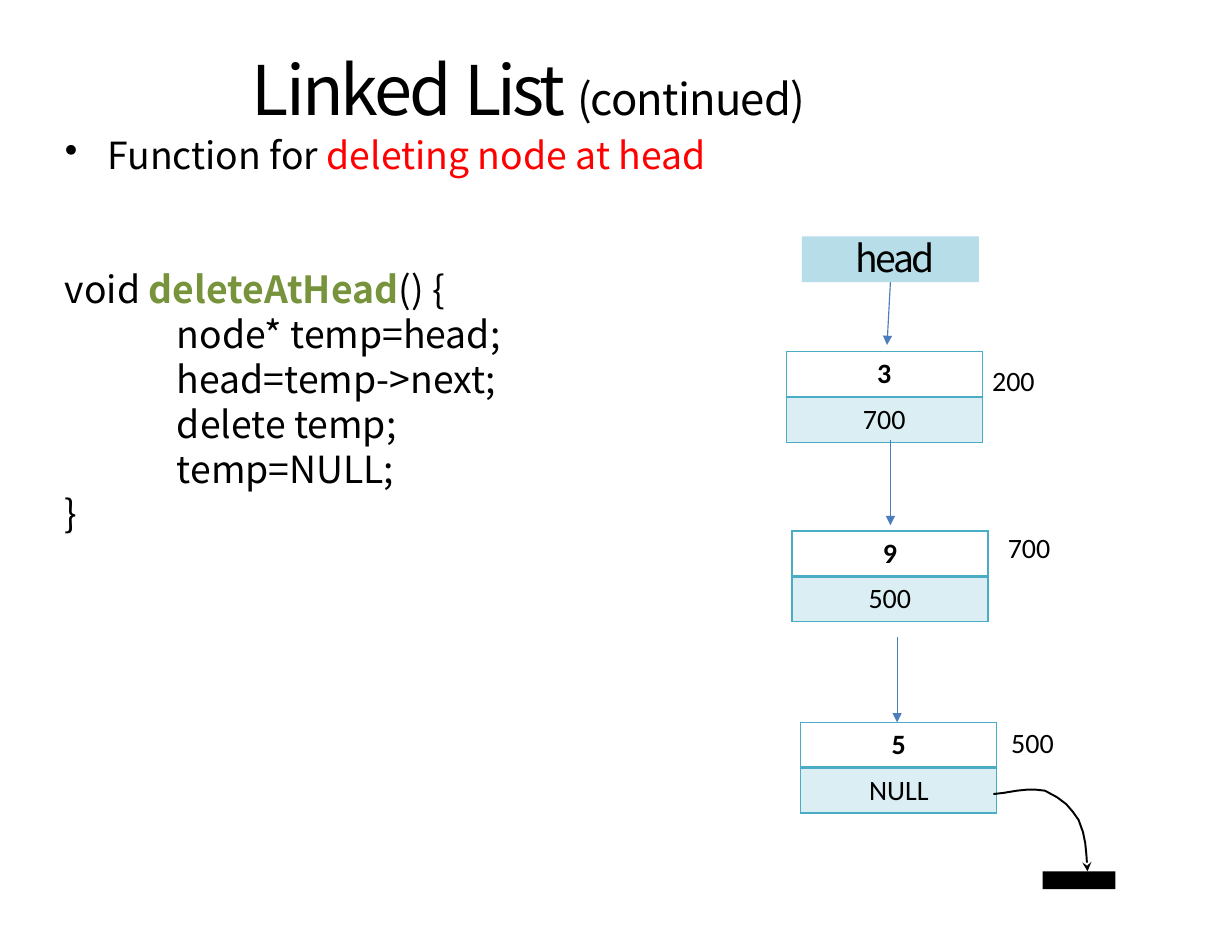
import pptx
import pptx.dml.color
import pptx.enum.shapes
import pptx.enum.text
import pptx.oxml
import pptx.oxml.ns
import pptx.util
from lxml import etree

Inches = pptx.util.Inches
Pt = pptx.util.Pt
RGBColor = pptx.dml.color.RGBColor
qn = pptx.oxml.ns.qn
RECTANGLE = pptx.enum.shapes.MSO_SHAPE.RECTANGLE
CENTER = pptx.enum.text.PP_ALIGN.CENTER

BLACK = RGBColor(0, 0, 0)
RED = RGBColor(0xFF, 0, 0)
GREEN = RGBColor(0x77, 0x93, 0x3C)
HEAD_FILL = RGBColor(0xB7, 0xDE, 0xE8)
ARROW_BLUE = RGBColor(0x4B, 0x7E, 0xBC)
BORDER_TEAL = RGBColor(0x4B, 0xAC, 0xC6)
NEXT_FILL = RGBColor(0xDB, 0xEE, 0xF4)

SANS = "Noto Sans CJK KR"
NODE_WIDTH, ROW_HEIGHT = 1.75, 0.405

# value, next address, own address, node left/top, address label left/top
NODES = [
    ("3", "700", "200", (7.02, 3.14), (8.76, 3.2)),
    ("9", "500", "700", (7.07, 4.74), (8.9, 4.69)),
    ("5", "NULL", "500", (7.15, 6.45), (8.93, 6.43)),
]
CODE_BODY = ["node* temp=head;", "head=temp->next;", "delete temp;", "temp=NULL;"]
NULL_CURVE = [
    (8.87, 7.09), (8.96, 7.08), (9.08, 7.06), (9.18, 7.05), (9.24, 7.05),
    (9.33, 7.06), (9.44, 7.12), (9.52, 7.18), (9.58, 7.25), (9.63, 7.32),
    (9.67, 7.43), (9.69, 7.53), (9.7, 7.63), (9.71, 7.78),
]


def add_run(paragraph, text, size=24, font=SANS, color=BLACK, bold=False, spacing=0):
    """Append formatted text; spacing is the letter spacing in points."""
    run = paragraph.add_run()
    run.text = text
    run.font.size = Pt(size)
    run.font.name = font
    run.font.bold = bold
    run.font.color.rgb = color
    if spacing:
        run.font._element.set("spc", str(round(spacing * 100)))


def set_indent(paragraph, left, first=0):
    properties = paragraph._p.get_or_add_pPr()
    properties.set("marL", str(Inches(left)))
    properties.set("indent", str(Inches(first)))


def add_text_frame(slide, left, top, width, height, inset=True):
    box = slide.shapes.add_textbox(
        Inches(left), Inches(top), Inches(width), Inches(height))
    frame = box.text_frame
    frame.word_wrap = True
    if not inset:
        clear_insets(frame)
    return frame


def clear_insets(frame):
    frame.margin_left = frame.margin_right = 0
    frame.margin_top = frame.margin_bottom = 0


def add_block(slide, left, top, width, height, color):
    block = slide.shapes.add_shape(
        RECTANGLE, Inches(left), Inches(top), Inches(width), Inches(height))
    block.shadow.inherit = False
    block.fill.solid()
    block.fill.fore_color.rgb = color
    block.line.fill.background()
    return block


def style_arrow(shape, color, width, head):
    shape.line.color.rgb = color
    shape.line.width = Pt(width)
    line = shape._element.spPr.find(qn("a:ln"))
    etree.SubElement(line, qn("a:tailEnd"), type=head)


def add_arrow(slide, start, end):
    arrow = slide.shapes.add_connector(
        pptx.enum.shapes.MSO_CONNECTOR.STRAIGHT,
        *(Inches(length) for length in start + end))
    style_arrow(arrow, ARROW_BLUE, 0.75, "triangle")
    etree.SubElement(arrow._element.spPr, qn("a:effectLst"))
    return arrow


def add_border(cell, side, width):
    line = etree.SubElement(
        cell._tc.get_or_add_tcPr(), qn(f"a:ln{side}"), w=str(Pt(width)))
    fill = etree.SubElement(line, qn("a:solidFill"))
    etree.SubElement(fill, qn("a:srgbClr"), val=str(BORDER_TEAL))


def add_node(slide, value, next_address, left, top):
    table = slide.shapes.add_table(
        2, 1, Inches(left), Inches(top),
        Inches(NODE_WIDTH), Inches(2 * ROW_HEIGHT)).table
    table.first_row = table.horz_banding = False
    value_cell, next_cell = table.cell(0, 0), table.cell(1, 0)
    for cell, text, top_width, bottom_width in (
            (value_cell, value, 1, 2), (next_cell, next_address, 2, 1)):
        paragraph = cell.text_frame.paragraphs[0]
        paragraph.alignment = CENTER
        add_run(paragraph, text, size=18, font="Calibri", bold=cell is value_cell)
        for side, width in zip("LRTB", (1, 1, top_width, bottom_width)):
            add_border(cell, side, width)
    value_cell.fill.background()
    next_cell.fill.solid()
    next_cell.fill.fore_color.rgb = NEXT_FILL


def add_title(slide):
    title = add_text_frame(slide, 2.24, 0.42, 6.53, 0.76, inset=False).paragraphs[0]
    set_indent(title, 0.01)
    title.space_before = Pt(0.9)
    add_run(title, "Linked ", size=44, spacing=-1.9)
    add_run(title, "List ", size=44, spacing=-2.4)
    add_run(title, "(continued)", size=28, spacing=-0.5)


def add_function_listing(slide):
    frame = add_text_frame(slide, 0.58, 1.18, 9.17, 4.04, inset=False)
    topic = frame.paragraphs[0]
    set_indent(topic, 0.38, -0.38)
    etree.SubElement(topic._p.get_or_add_pPr(), qn("a:buChar"), char="•")
    add_run(topic, "Function for ")
    add_run(topic, "deleting node at head", color=RED)

    signature = frame.add_paragraph()
    signature.space_before = Pt(57.6)
    add_run(signature, "void ")
    add_run(signature, "deleteAtHead", color=GREEN, bold=True)
    add_run(signature, "() {")
    for statement in CODE_BODY:
        paragraph = frame.add_paragraph()
        set_indent(paragraph, 1)
        add_run(paragraph, statement)
    add_run(frame.add_paragraph(), "}")


def add_head(slide):
    head = add_block(slide, 7.16, 2.11, 1.58, 0.41, HEAD_FILL)
    frame = head.text_frame
    clear_insets(frame)
    frame.vertical_anchor = pptx.enum.text.MSO_ANCHOR.TOP
    label = frame.paragraphs[0]
    label.alignment = pptx.enum.text.PP_ALIGN.LEFT
    label.line_spacing = Pt(28.3)
    set_indent(label, 0.48)
    add_run(label, "head", spacing=-1.7)
    return head


def add_null_pointer(slide):
    """Curved arrow from the last node to the ground bar."""
    points = [(Inches(x), Inches(y)) for x, y in NULL_CURVE]
    builder = slide.shapes.build_freeform(*points[0])
    builder.add_line_segments(points[1:], close=False)
    curve = builder.convert_to_shape()
    curve.shadow.inherit = False
    curve.fill.background()
    style_arrow(curve, BLACK, 1.25, "stealth")
    add_block(slide, 9.31, 7.78, 0.65, 0.16, BLACK)


def main():
    deck = pptx.Presentation()
    deck.slide_width, deck.slide_height = Inches(11), Inches(8.5)
    slide = deck.slides.add_slide(deck.slide_layouts[6])

    add_title(slide)
    add_function_listing(slide)
    head = add_head(slide)
    for value, next_address, address, node_at, label_at in NODES:
        add_node(slide, value, next_address, *node_at)
        label = add_text_frame(slide, *label_at, 0.62, 0.4)
        add_run(label.paragraphs[0], address, size=18, font="Calibri")
    add_arrow(slide, (7.95, 2.52), (7.92, 3.08)).begin_connect(head, 2)
    add_arrow(slide, (7.95, 3.93), (7.95, 4.69))
    add_arrow(slide, (8.01, 5.69), (8.01, 6.45))
    add_null_pointer(slide)

    deck.save("out.pptx")


if __name__ == "__main__":
    main()
